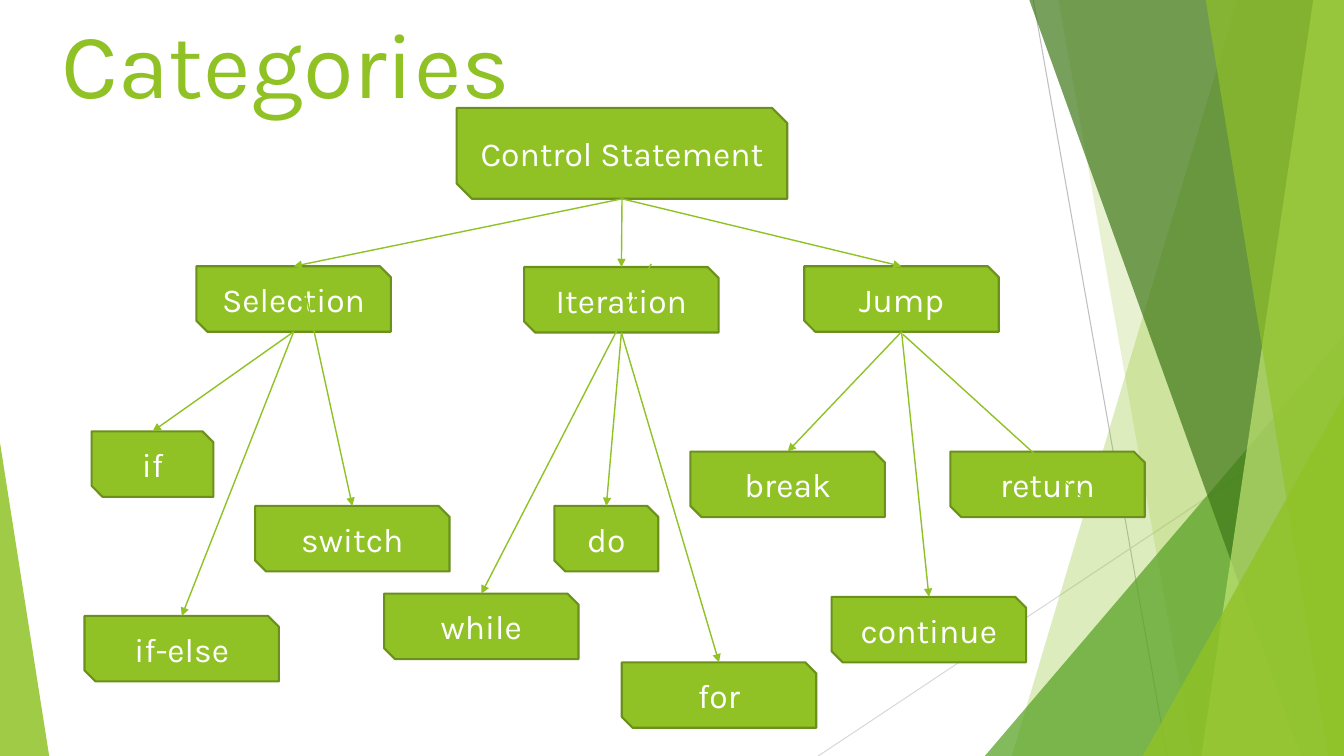
import pptx
import pptx.dml.color
import pptx.enum.shapes
import pptx.enum.text
import pptx.oxml.ns
import pptx.oxml.xmlchemy
import pptx.util
from pptx.util import Cm

GREEN = "90C226"
FONT = "Karla"
SHAPES = pptx.enum.shapes.MSO_SHAPE
STRAIGHT = pptx.enum.shapes.MSO_CONNECTOR.STRAIGHT
SNIP_BOTTOM, SNIP_TOP = 1, 3


def color(value):
    return pptx.dml.color.RGBColor.from_string(value)


def add_line(start, end, line_color, width, arrow=False):
    line = slide.shapes.add_connector(STRAIGHT, *start, *end)
    line.line.color.rgb = color(line_color)
    line.line.width = pptx.util.Pt(width)
    properties = line._element.spPr
    if arrow:
        head = pptx.oxml.xmlchemy.OxmlElement("a:tailEnd")
        head.set("type", "triangle")
        properties.get_or_add_ln().append(head)
    properties.append(pptx.oxml.xmlchemy.OxmlElement("a:effectLst"))
    return line


deck = pptx.Presentation()
deck.slide_width = Cm(33.87)
deck.slide_height = Cm(19.05)
slide = deck.slides.add_slide(deck.slide_layouts[6])

add_line((Cm(26.04), 0), (Cm(29.41), Cm(19.05)), "BFBFBF", 0.75)
add_line((Cm(33.87), Cm(10.24)), (Cm(20.62), Cm(19.05)), "D9D9D9", 0.75)

facets = [
    ("band", (31.19, 25.5), GREEN, 30),
    ("band", (26.67, 30.05), GREEN, 20),
    ("right triangle", (24.82, 8.46, 9.04, 10.59), "54A021", 72),
    ("band", (25.93, 32.79), "3F7819", 70),
    ("band", (33.1, 30.28), "C0E474", 70),
    ("band", (30.38, 33.48), GREEN, 65),
    ("right triangle", (28.8, 9.98, 5.07, 9.07), GREEN, 80),
    ("left triangle", (0, 11.15, 1.24, 7.9), GREEN, 85),
]
for kind, lengths, fill_color, opacity in facets:
    if kind == "band":
        top_x, bottom_x = lengths
        outline = slide.shapes.build_freeform(Cm(top_x), Cm(-0.03))
        corners = [(33.87, -0.03), (33.87, 19.05), (bottom_x, 19.05)]
        outline.add_line_segments([(Cm(x), Cm(y)) for x, y in corners], close=True)
        facet = outline.convert_to_shape()
    else:
        facet = slide.shapes.add_shape(
            SHAPES.ISOSCELES_TRIANGLE, *[Cm(length) for length in lengths]
        )
        facet.adjustments[0] = 1 if kind == "right triangle" else 0
    facet.shadow.inherit = False
    facet.line.fill.background()
    facet.fill.solid()
    facet.fill.fore_color.rgb = color(fill_color)
    alpha = pptx.oxml.xmlchemy.OxmlElement("a:alpha")
    alpha.set("val", str(opacity * 1000))
    facet._element.spPr.find(".//" + pptx.oxml.ns.qn("a:srgbClr")).append(alpha)

title = slide.shapes.add_textbox(Cm(1.3), Cm(0.03), Cm(23.88), Cm(3.66))
title.text_frame.word_wrap = True
title.text_frame.text = "Categories"
span = title.text_frame.paragraphs[0].runs[0]
span.font.size = pptx.util.Pt(66)
span.font.name = FONT
span.font.color.rgb = color(GREEN)

statements = [
    ("Control Statement", 11.51, 2.72, 8.33, 2.29),
    ("Selection", 4.95, 6.71, 4.9, 1.65),
    ("Jump", 20.27, 6.71, 4.9, 1.65),
    ("Iteration", 13.21, 6.73, 4.9, 1.65),
    ("do", 13.97, 12.75, 2.62, 1.65),
    ("switch", 6.43, 12.75, 4.9, 1.65),
    ("for", 15.67, 16.69, 4.9, 1.65),
    ("while", 9.68, 14.96, 4.9, 1.65),
    ("if-else", 2.13, 15.52, 4.9, 1.65),
    ("if", 2.31, 10.87, 3.07, 1.65),
    ("continue", 20.96, 15.04, 4.9, 1.65),
    ("break", 17.4, 11.38, 4.9, 1.65),
    ("return", 23.95, 11.38, 4.9, 1.65),
]
boxes = {}
for name, *lengths in statements:
    box = slide.shapes.add_shape(
        SHAPES.SNIP_2_DIAG_RECTANGLE, *[Cm(length) for length in lengths]
    )
    box.shadow.inherit = False
    box.fill.solid()
    box.fill.fore_color.rgb = color(GREEN)
    box.line.color.rgb = color("6B901C")
    box.line.width = pptx.util.Pt(1.5)
    box.text_frame.text = name
    box.text_frame.vertical_anchor = pptx.enum.text.MSO_ANCHOR.MIDDLE
    para = box.text_frame.paragraphs[0]
    para.alignment = pptx.enum.text.PP_ALIGN.CENTER
    span = para.runs[0]
    span.font.size = pptx.util.Pt(24)
    span.font.name = FONT
    span.font.color.rgb = color("FFFFFF")
    boxes[name] = box

branches = {
    "Control Statement": ["Iteration", "Jump", "Selection"],
    "Selection": ["if", "switch", "if-else"],
    "Iteration": ["while", "do", "for"],
    "Jump": ["break", "return", "continue"],
}
free_starts = {"switch": (7.65, 7.14), "while": (16.41, 6.65), "return": (22.76, 8.43)}
free_ends = {"return": (27.46, 12.7)}
for parent_name, child_names in branches.items():
    parent = boxes[parent_name]
    for child_name in child_names:
        child = boxes[child_name]
        start = (parent.left + parent.width // 2, parent.top + parent.height)
        end = (child.left + child.width // 2, child.top)
        if child_name in free_starts:
            start = [Cm(length) for length in free_starts[child_name]]
        if child_name in free_ends:
            end = [Cm(length) for length in free_ends[child_name]]
        arrow = add_line(start, end, GREEN, 1, arrow=True)
        if child_name not in free_starts:
            arrow.begin_connect(parent, SNIP_BOTTOM)
        if child_name not in free_ends:
            arrow.end_connect(child, SNIP_TOP)
        arrow.begin_x, arrow.begin_y = start
        arrow.end_x, arrow.end_y = end

deck.save("out.pptx")
